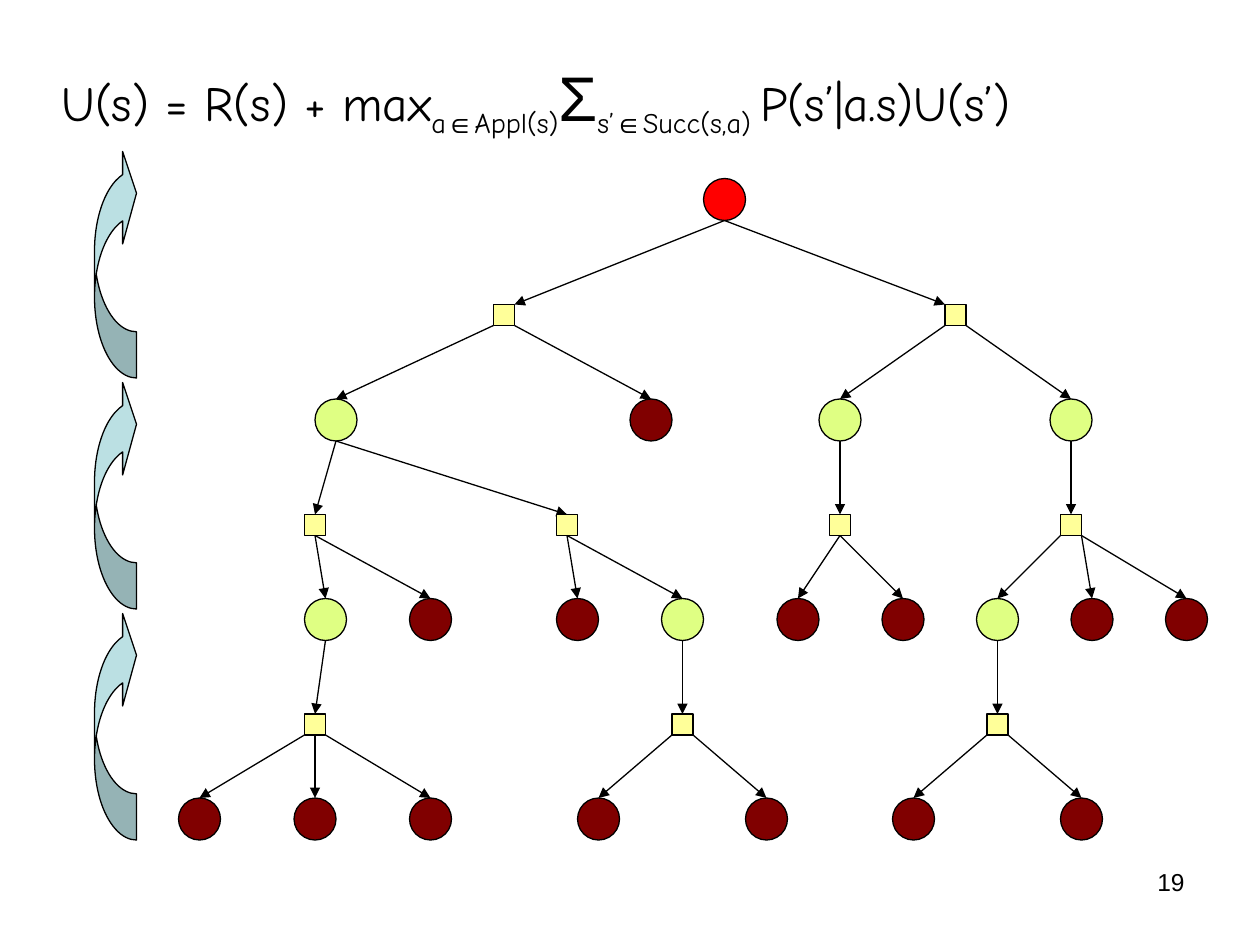
from lxml import etree
from pptx import Presentation
from pptx import util as u
from pptx.dml.color import RGBColor
from pptx.enum import shapes, text
from pptx.oxml import ns

BLACK = RGBColor(0x00, 0x00, 0x00)
ROOT_RED = RGBColor(0xFF, 0x00, 0x00)
STATE_GREEN = RGBColor(0xDF, 0xFF, 0x83)
TERMINAL_MAROON = RGBColor(0x80, 0x00, 0x00)
ACTION_YELLOW = RGBColor(0xFF, 0xFF, 0x99)
BACKUP_BLUE = RGBColor(0xBB, 0xE0, 0xE3)

STATE_SIZE, ACTION_SIZE = 24, 12
LEVELS = [114, 180, 240, 300, 354, 414, 468]
CORNER = ACTION_SIZE / 2


def terminals(*centers):
    return [(x, []) for x in centers]


# A state is (x, actions); an action is (x, spread of outgoing arrows, outcome states).
TREE = (414, [
    (288, CORNER, [
        (192, [
            (180, 0, [(186, [(180, CORNER, terminals(114, 180, 246))])] + terminals(246)),
            (324, 0, terminals(330) + [(390, [(390, CORNER, terminals(342, 438))])]),
        ]),
        (372, []),
    ]),
    (546, CORNER, [
        (480, [(480, 0, terminals(456, 516))]),
        (612, [(612, CORNER, [(570, [(570, CORNER, terminals(522, 618))])]
                + terminals(624, 678))]),
    ]),
])

FORMULA = [
    (" ", 28, "Comic Neue", True, False),
    ("U(s) = R(s) + max", 28, "Comic Neue", False, False),
    ("a", 28, "Comic Neue", False, True),
    ("∈", 28, "Arial", False, True),
    ("Appl(s)", 28, "Comic Neue", False, True),
    ("Σ", 36, "Arial", False, False),
    ("s’", 28, "Comic Neue", False, True),
    ("∈", 28, "Arial", False, True),
    ("Succ(s,a) ", 28, "Comic Neue", False, True),
    ("P(s’|a.s)U(s’)", 28, "Comic Neue", False, False),
]


def add_outlined(slide, preset, left, top, width, height, color):
    outlined = slide.shapes.add_shape(
        preset, u.Pt(left), u.Pt(top), u.Pt(width), u.Pt(height))
    outlined.shadow.inherit = False
    outlined.fill.solid()
    outlined.fill.fore_color.rgb = color
    outlined.line.color.rgb = BLACK
    outlined.line.width = u.Pt(0.75)
    return outlined


def add_node(slide, preset, x, y, size, color):
    add_outlined(slide, preset, x - size / 2, y - size / 2, size, size, color)


def add_arrow(slide, x1, y1, x2, y2):
    arrow = slide.shapes.add_connector(
        shapes.MSO_CONNECTOR.STRAIGHT, u.Pt(x1), u.Pt(y1), u.Pt(x2), u.Pt(y2))
    arrow.line.color.rgb = BLACK
    arrow.line.width = u.Pt(0.75)
    etree.SubElement(arrow.line._get_or_add_ln(), ns.qn("a:tailEnd"), type="triangle")
    etree.SubElement(arrow._element.spPr, ns.qn("a:effectLst"))


def toward(origin, target, reach):
    return origin + reach * ((target > origin) - (target < origin))


def add_state(slide, state, depth=0):
    x, actions = state
    y = LEVELS[depth]
    is_root = depth == 0
    color = ROOT_RED if is_root else STATE_GREEN if actions else TERMINAL_MAROON
    add_node(slide, shapes.MSO_SHAPE.OVAL, x, y, STATE_SIZE, color)
    for action in actions:
        entry = toward(action[0], x, CORNER) if is_root else action[0]
        add_arrow(slide, x, y + STATE_SIZE / 2, entry, LEVELS[depth + 1] - CORNER)
        add_action(slide, action, depth + 1)


def add_action(slide, action, depth):
    x, spread, outcomes = action
    y = LEVELS[depth]
    add_node(slide, shapes.MSO_SHAPE.RECTANGLE, x, y, ACTION_SIZE, ACTION_YELLOW)
    for outcome in outcomes:
        add_arrow(slide, toward(x, outcome[0], spread), y + CORNER,
                  outcome[0], LEVELS[depth + 1] - STATE_SIZE / 2)
        add_state(slide, outcome, depth + 1)


def add_backup_arrow(slide, top):
    backup = add_outlined(slide, shapes.MSO_SHAPE.CURVED_RIGHT_ARROW,
                          54, top, 24, 132, BACKUP_BLUE)
    for index, ratio in enumerate((1.1, 2.2, 0.33)):
        backup.adjustments[index] = ratio
    backup._element.spPr.xfrm.set("flipV", "1")


def add_text(slide, left, top, width, height, runs):
    box = slide.shapes.add_textbox(u.Pt(left), u.Pt(top), u.Pt(width), u.Pt(height))
    box.text_frame.word_wrap = True
    box.text_frame.vertical_anchor = text.MSO_ANCHOR.TOP
    paragraph = box.text_frame.paragraphs[0]
    for words, size, font, bold, subscript in runs:
        run = paragraph.add_run()
        run.text = words
        run.font.size = u.Pt(size)
        run.font.name = font
        run.font.bold = bold
        run.font.color.rgb = BLACK
        if subscript:
            run.font._element.set("baseline", "-25000")
    return paragraph


def main():
    deck = Presentation()
    deck.slide_width, deck.slide_height = u.Pt(720), u.Pt(540)
    slide = deck.slides.add_slide(deck.slide_layouts[6])

    formula = add_text(slide, 18, 30, 660, 66, FORMULA)
    formula.space_before = u.Pt(7)
    indent = formula._p.get_or_add_pPr()
    indent.set("marL", str(u.Pt(27)))
    indent.set("indent", str(u.Pt(-27)))

    add_state(slide, TREE)
    for step in range(3):
        add_backup_arrow(slide, 84 + 132 * step)

    page_number = add_text(slide, 516, 492, 168, 37.5, [("19", 14, "Arial", False, False)])
    page_number.alignment = text.PP_ALIGN.RIGHT
    deck.save("out.pptx")


if __name__ == "__main__":
    main()
